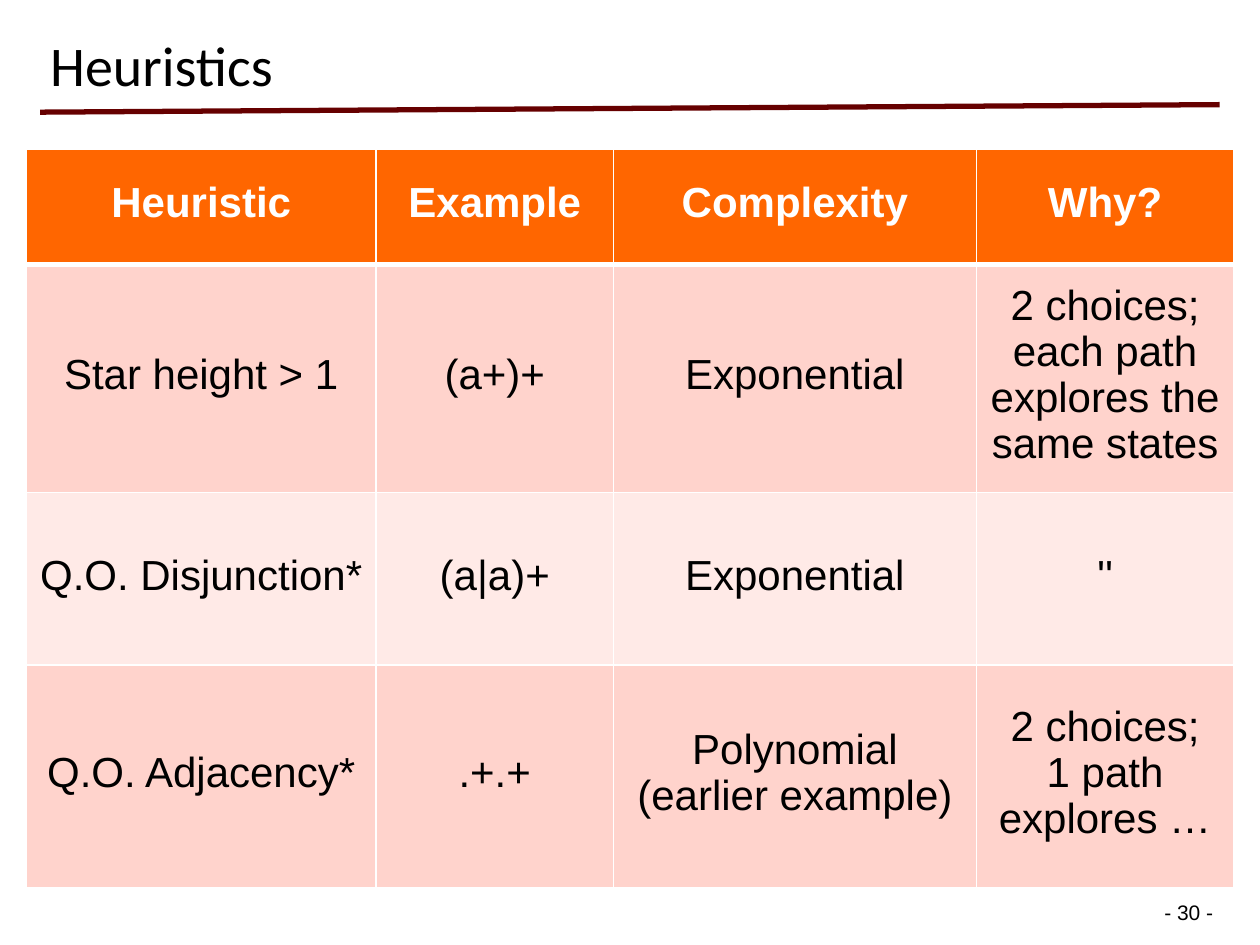
import pptx
import pptx.dml.color
import pptx.enum.shapes
import pptx.enum.text
import pptx.oxml.ns
import pptx.util
from lxml import etree

Pt = pptx.util.Pt
ALIGN = pptx.enum.text.PP_ALIGN
ANCHOR = pptx.enum.text.MSO_ANCHOR

COLUMN_WIDTHS = [200, 135.5, 207.5, 147]
ROW_HEIGHTS = [66, 130.5, 98.5, 127.5]
ROWS = [
    ["Heuristic", "Example", "Complexity", "Why?"],
    ["Star height > 1", "(a+)+", "Exponential",
     "2 choices;\neach path\nexplores the\nsame states"],
    ["Q.O. Disjunction*", "(a|a)+", "Exponential", "''"],
    ["Q.O. Adjacency*", ".+.+", "Polynomial\n(earlier example)",
     "2 choices;\n1 path\nexplores …"],
]
ROW_FILLS = ["FF6600", "FFD3CC", "FFEAE7", "FFD3CC"]


def color(value):
    return pptx.dml.color.RGBColor.from_string(value)


def format_text(text_frame, font_name, size, font_color, bold=False,
                align=ALIGN.LEFT, line_spacing=1.0, space_before=0):
    for paragraph in text_frame.paragraphs:
        paragraph.alignment = align
        paragraph.line_spacing = line_spacing
        paragraph.space_before = Pt(space_before)
        for run in paragraph.runs:
            run.font.name = font_name
            run.font.size = Pt(size)
            run.font.bold = bold
            run.font.color.rgb = color(font_color)


def add_title(slide, left, top, width, height):
    text_frame = slide.shapes.add_textbox(Pt(left), Pt(top), Pt(width), Pt(height)).text_frame
    text_frame.word_wrap = True
    text_frame.vertical_anchor = ANCHOR.BOTTOM
    text_frame.text = "Heuristics"
    format_text(text_frame, "Calibri", 32, "000000", line_spacing=0.9)


def add_title_rule(slide, left, top, width, height):
    """Draw the rule rising from the lower left to the upper right of its box."""
    rule = slide.shapes.add_connector(
        pptx.enum.shapes.MSO_CONNECTOR.STRAIGHT,
        Pt(left), Pt(top + height), Pt(left + width), Pt(top))
    rule.line.color.rgb = color("660000")
    rule.line.width = Pt(3)
    etree.SubElement(rule._element.spPr, pptx.oxml.ns.qn("a:effectLst"))


def add_page_number(slide, left, top, width, height):
    text_frame = slide.shapes.add_textbox(Pt(left), Pt(top), Pt(width), Pt(height)).text_frame
    text_frame.word_wrap = False
    text_frame.margin_left = text_frame.margin_right = Pt(3.6)
    text_frame.margin_top = text_frame.margin_bottom = Pt(1.5)
    text_frame.text = "- 30 -"
    format_text(text_frame, "Arial", 12, "000000")


def set_borders(cell, top_width, bottom_width):
    """Give the cell white borders; call before filling, as borders come first in the XML."""
    qn = pptx.oxml.ns.qn
    properties = cell._tc.get_or_add_tcPr()
    widths = {"a:lnL": 1, "a:lnR": 1, "a:lnT": top_width, "a:lnB": bottom_width}
    for tag, width in widths.items():
        border = etree.SubElement(properties, qn(tag), w=str(Pt(width)))
        fill = etree.SubElement(border, qn("a:solidFill"))
        etree.SubElement(fill, qn("a:srgbClr"), val="FFFFFF")


def add_heuristics_table(slide, left, top, width, height):
    table = slide.shapes.add_table(
        len(ROWS), len(COLUMN_WIDTHS), Pt(left), Pt(top), Pt(width), Pt(height)).table
    for column, share in zip(table.columns, COLUMN_WIDTHS):
        column.width = Pt(width * share / sum(COLUMN_WIDTHS))
    for row, share in zip(table.rows, ROW_HEIGHTS):
        row.height = Pt(height * share / sum(ROW_HEIGHTS))
    for row_index, texts in enumerate(ROWS):
        is_header = row_index == 0
        for column_index, text in enumerate(texts):
            cell = table.cell(row_index, column_index)
            set_borders(cell, 3 if row_index == 1 else 1, 3 if is_header else 1)
            cell.fill.solid()
            cell.fill.fore_color.rgb = color(ROW_FILLS[row_index])
            cell.vertical_anchor = ANCHOR.MIDDLE
            cell.text_frame.text = text
            format_text(cell.text_frame, "Arial", 24,
                        "FFFFFF" if is_header else "000000", bold=is_header,
                        align=ALIGN.CENTER, line_spacing=0.8, space_before=4.8)


def main():
    presentation = pptx.Presentation()
    presentation.slide_width = Pt(720)
    presentation.slide_height = Pt(540)
    slide = presentation.slides.add_slide(presentation.slide_layouts[6])
    add_page_number(slide, 661.7, 512.6, 37.4, 17.3)
    add_title_rule(slide, 23, 59.8, 674, 4.3)
    add_title(slide, 21.6, 9.4, 633.6, 50.4)
    add_heuristics_table(slide, 15, 85, 690, 422.5)
    presentation.save("out.pptx")


if __name__ == "__main__":
    main()
